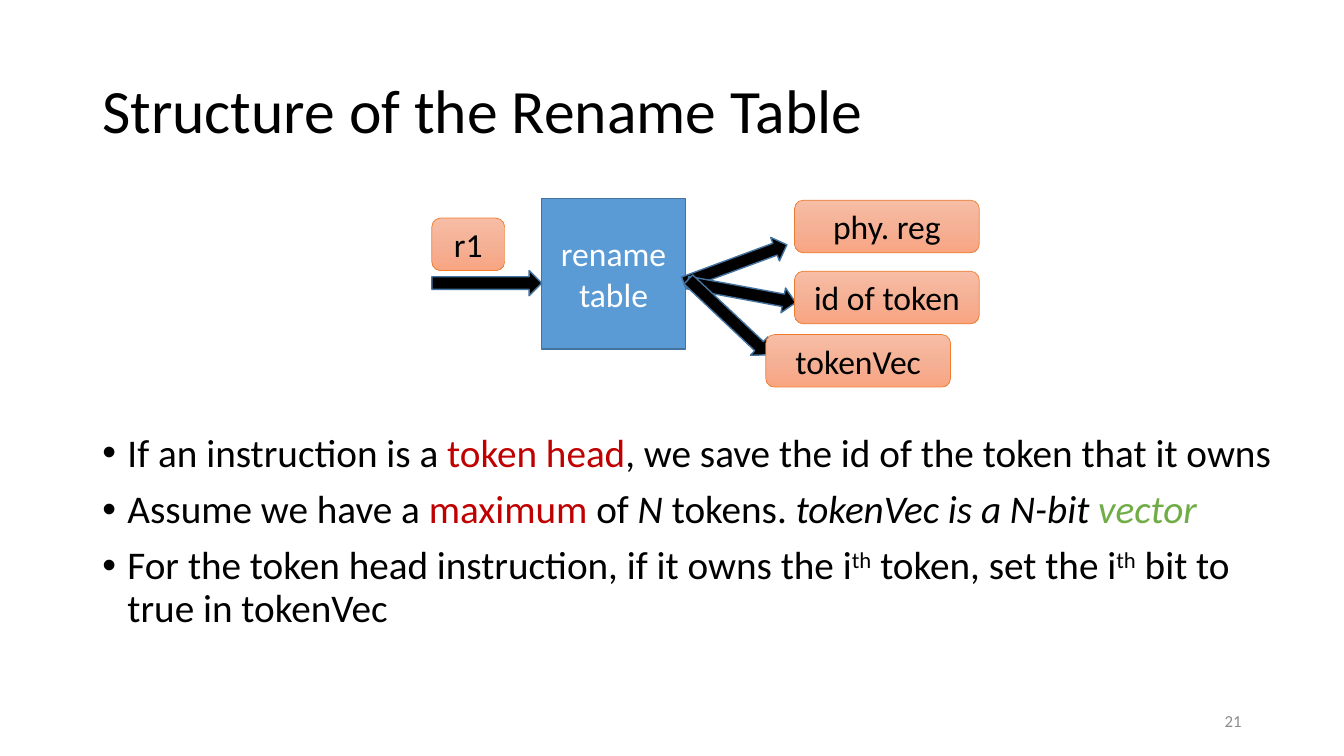
from copy import deepcopy
from dataclasses import dataclass

from lxml import etree
from pptx import Presentation
from pptx.dml.color import RGBColor
from pptx.enum.shapes import MSO_SHAPE
from pptx.enum.text import MSO_ANCHOR, PP_ALIGN
from pptx.oxml.ns import qn
from pptx.util import Pt

RECT = MSO_SHAPE.RECTANGLE
ROUNDED = MSO_SHAPE.ROUNDED_RECTANGLE
ARROW = MSO_SHAPE.RIGHT_ARROW
MIDDLE, TOP = MSO_ANCHOR.MIDDLE, MSO_ANCHOR.TOP
LEFT, CENTER, RIGHT = PP_ALIGN.LEFT, PP_ALIGN.CENTER, PP_ALIGN.RIGHT

FONT = "Calibri"
COLORS = {
    "black": "000000", "white": "FFFFFF", "gray": "8C8C8C",
    "red": "C00000", "green": "70AD47",
    "blue": "5B9BD5", "blue edge": "43739E", "orange edge": "ED7D31",
    "peach top": "F7BDA5", "peach middle": "F5B196", "peach bottom": "F8A582",
}
ARROW_SIZE = (78.5, 18)
FIELD_HEIGHT = 37.5
OUTPUT_WIDTH = 132


@dataclass
class Span:
    text: str
    color: str = ""
    italic: bool = False
    superscript: bool = False


@dataclass
class Field:
    """A rounded box that names one input or output of the table."""
    text: str
    left: float
    top: float
    width: float = OUTPUT_WIDTH


@dataclass
class Flow:
    """A block arrow into or out of the table."""
    left: float
    top: float
    angle: float = 0


DIAGRAM = [
    Flow(308.5, 193.25),
    Field("r1", 308.5, 155.75, 52),
    Flow(486, 179.5, 339.7),
    Flow(490.5, 200, 10.5),
    Field("phy. reg", 567.5, 143),
    Field("id of token", 567.5, 193.75),
    Flow(481, 217.5, 43.3),
    Field("tokenVec", 547, 239),
]

BULLETS = [
    [Span("If an instruction is a "), Span("token head", "red"),
     Span(", we save the id of the token that it owns")],
    [Span("Assume we have a "), Span("maximum", "red"), Span(" of "),
     Span("N", italic=True), Span(" tokens. "),
     Span("tokenVec is a N-bit ", italic=True),
     Span("vector", "green", italic=True)],
    [Span("For the token head instruction, if it owns the i"),
     Span("th", superscript=True), Span(" token, set the i"),
     Span("th", superscript=True), Span(" bit to true in tokenVec")],
]


def rgb(name: str) -> RGBColor:
    return RGBColor.from_string(COLORS[name])


def style_paragraph(paragraph, size: float, color: str, align) -> None:
    paragraph.alignment = align
    font = paragraph.font
    font.name, font.size = FONT, Pt(size)
    font.color.rgb = rgb(color)


def write_lines(frame, text: str, size: float, color: str, align) -> None:
    frame.word_wrap = True
    frame.vertical_anchor = MIDDLE
    frame.text = text
    for paragraph in frame.paragraphs:
        style_paragraph(paragraph, size, color, align)


def add_text(slide, left: float, top: float, width: float, height: float):
    box = slide.shapes.add_textbox(Pt(left), Pt(top), Pt(width), Pt(height))
    return box.text_frame


def add_block(slide, kind, left: float, top: float, width: float,
              height: float, edge: str, weight: float):
    block = slide.shapes.add_shape(kind, Pt(left), Pt(top), Pt(width), Pt(height))
    block.shadow.inherit = False
    block.line.color.rgb = rgb(edge)
    block.line.width = Pt(weight)
    return block


def fill_solid(block, color: str) -> None:
    block.fill.solid()
    block.fill.fore_color.rgb = rgb(color)


def fill_peach(block) -> None:
    """Apply the three-stop gradient, running from top to bottom."""
    block.fill.gradient()
    block.fill.gradient_angle = 270
    stop_list = block.fill._xPr.find(qn("a:gradFill")).find(qn("a:gsLst"))
    stop_list.insert(1, deepcopy(stop_list[0]))
    stop_list[1].set("pos", "50000")
    shades = ("peach top", "peach middle", "peach bottom")
    for stop, shade in zip(block.fill.gradient_stops, shades):
        stop.color.rgb = rgb(shade)


def draw_field(slide, field: Field) -> None:
    block = add_block(slide, ROUNDED, field.left, field.top, field.width,
                      FIELD_HEIGHT, "orange edge", 0.5)
    fill_peach(block)
    write_lines(block.text_frame, field.text, 24, "black", CENTER)


def draw_flow(slide, flow: Flow) -> None:
    block = add_block(slide, ARROW, flow.left, flow.top, *ARROW_SIZE,
                      "blue edge", 1)
    fill_solid(block, "black")
    block.rotation = flow.angle


def draw_table_block(slide) -> None:
    block = add_block(slide, RECT, 387, 141.75, 102.5, 107.5, "blue edge", 1)
    fill_solid(block, "blue")
    write_lines(block.text_frame, "rename\ntable", 24, "white", CENTER)


def set_bullet(paragraph) -> None:
    properties = paragraph._p.get_or_add_pPr()
    properties.set("marL", str(Pt(18)))
    properties.set("indent", str(Pt(-18)))
    etree.SubElement(properties, qn("a:buFont")).set("typeface", "Arial")
    etree.SubElement(properties, qn("a:buChar")).set("char", "•")


def add_span(paragraph, span: Span) -> None:
    run = paragraph.add_run()
    run.text = span.text
    if span.color:
        run.font.color.rgb = rgb(span.color)
    if span.italic:
        run.font.italic = True
    if span.superscript:
        run._r.get_or_add_rPr().set("baseline", "30000")


def draw_bullets(slide) -> None:
    frame = add_text(slide, 66, 306, 861, 180)
    frame.word_wrap = True
    frame.vertical_anchor = TOP
    for index, spans in enumerate(BULLETS):
        paragraph = frame.add_paragraph() if index else frame.paragraphs[0]
        paragraph.line_spacing = 0.9
        paragraph.space_before = Pt(10)
        set_bullet(paragraph)
        style_paragraph(paragraph, 28, "black", LEFT)
        for span in spans:
            add_span(paragraph, span)


def main() -> None:
    deck = Presentation()
    deck.slide_width, deck.slide_height = Pt(960), Pt(540)
    slide = deck.slides.add_slide(deck.slide_layouts[6])

    title = add_text(slide, 66, 28.75, 828, 104.5)
    write_lines(title, "Structure of the Rename Table", 44, "black", LEFT)
    title.paragraphs[0].line_spacing = 0.9
    draw_bullets(slide)

    draw_table_block(slide)
    for part in DIAGRAM:
        if isinstance(part, Field):
            draw_field(slide, part)
        else:
            draw_flow(slide, part)

    page_number = add_text(slide, 678, 500.5, 216, 28.75)
    write_lines(page_number, "21", 12, "gray", RIGHT)
    deck.save("out.pptx")


if __name__ == "__main__":
    main()
